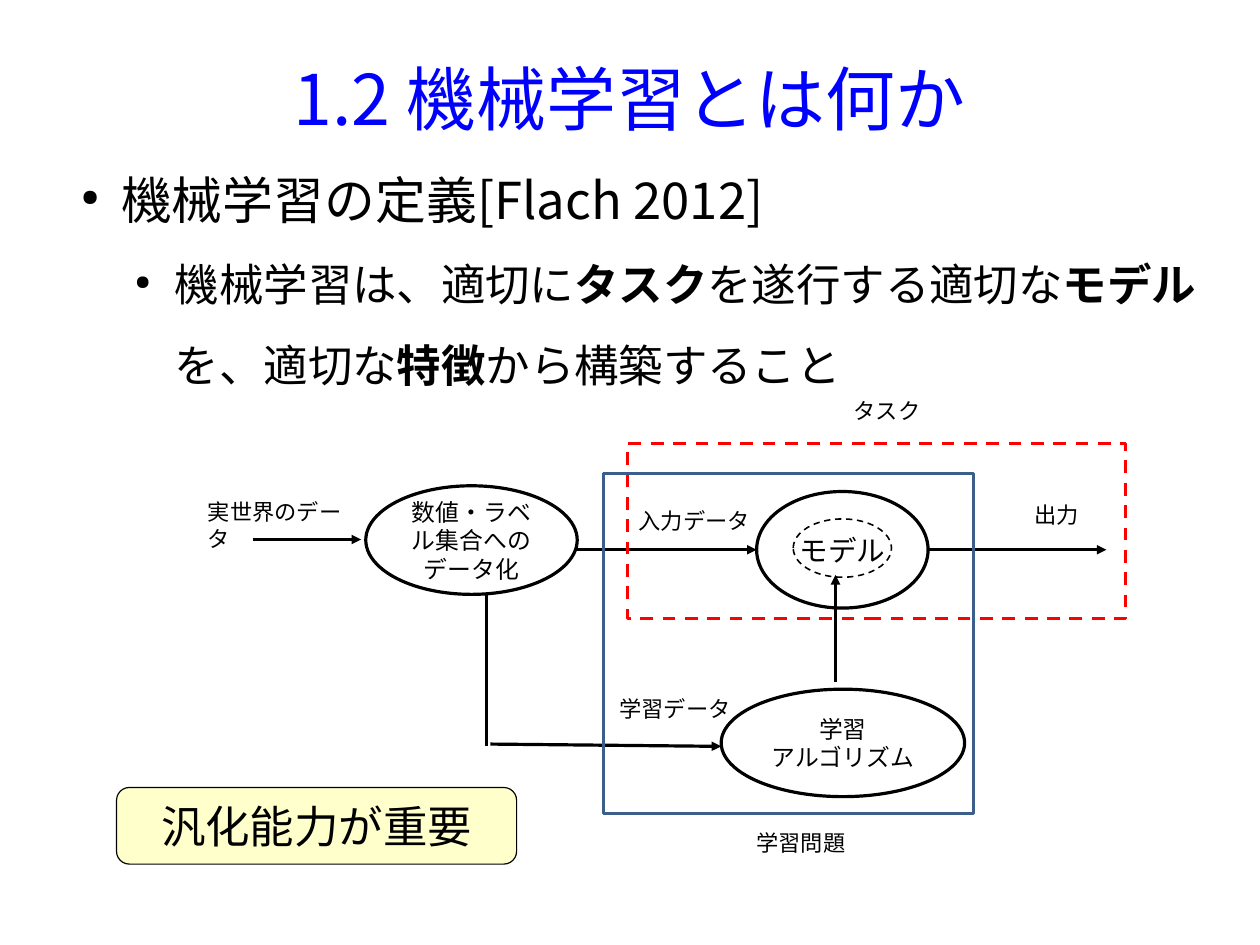
from lxml import etree
from pptx import Presentation
from pptx.dml.color import RGBColor
from pptx.enum import dml, shapes, text
from pptx.oxml import ns
from pptx.util import Inches, Pt

FONT = "Noto Sans CJK JP"
BLACK = RGBColor(0, 0, 0)
BLUE = RGBColor(0, 0, 255)
RED = RGBColor(255, 0, 0)
STEEL = RGBColor(0x3A, 0x5F, 0x8B)
CREAM = RGBColor(0xFF, 0xFF, 0xCC)

TITLE = "1.2 機械学習とは何か"
DEFINITION = [
    ("機械学習の定義[Flach 2012]", 32),
    ("機械学習は、適切に*タスク*を遂行する適切な*モデル*を、適切な*特徴*から構築すること", 28),
]
KEY_POINT = "汎化能力が重要"
STEPS = [
    (["数値・ラベル集合へのデータ化"], 15, (3.2, 4.25, 1.85, 0.95)),
    (["モデル"], 18, (6.62, 4.3, 1.5, 1.02)),
    (["学習", "アルゴリズム"], 15, (6.31, 6.03, 2.13, 0.94)),
]
MODEL_CORE = (6.94, 4.54, 0.86, 0.51)
SCOPES = [
    ((5.49, 3.88, 4.36, 1.53), RED, dml.MSO_LINE.DASH),
    ((5.28, 4.14, 3.24, 2.98), STEEL, None),
]
LABELS = [
    ("実世界のデータ", (1.72, 4.31, 1.5, 0.55), True),
    ("入力データ", (5.49, 4.39, 1.2, 0.33), False),
    ("出力", (8.95, 4.34, 0.6, 0.33), False),
    ("学習データ", (5.32, 6.03, 1.2, 0.33), False),
    ("タスク", (7.37, 3.43, 0.8, 0.33), False),
    ("学習問題", (6.52, 7.21, 1, 0.33), False),
]
FLOWS = [
    ((2.21, 4.72), (3.16, 4.72), True),
    ((5.05, 4.81), (6.62, 4.81), True),
    ((8.12, 4.81), (9.68, 4.81), True),
    ((4.26, 5.21), (4.26, 6.53), False),
    ((4.29, 6.51), (6.31, 6.53), True),
    ((7.31, 5.97), (7.31, 5.03), True),
]


def inches(values):
    """Convert plain numbers to lengths."""
    return [Inches(value) for value in values]


def add_xml(parent, tag, **attributes):
    """Append a drawing element to its parent."""
    return etree.SubElement(parent, ns.qn(tag), attributes)


def write(paragraph, content, size, color=BLACK, align=None):
    """Write text into a paragraph, with bold between asterisks."""
    paragraph.alignment = align
    for index, part in enumerate(content.split("*")):
        run = paragraph.add_run()
        run.text = part
        run.font.size = Pt(size)
        run.font.bold = index % 2 == 1
        run.font.color.rgb = color
        run.font.name = FONT
        add_xml(run.font._element, "a:ea", typeface=FONT)


def add_outline(slide, kind, box, color=BLACK, width=2, dash=None, fill=None):
    """Add an outlined shape."""
    outline = slide.shapes.add_shape(kind, *inches(box))
    outline.shadow.inherit = False
    if fill is None:
        outline.fill.background()
    else:
        outline.fill.solid()
        outline.fill.fore_color.rgb = fill
    outline.line.color.rgb = color
    outline.line.width = Pt(width)
    if dash is not None:
        outline.line.dash_style = dash
    return outline


def add_flow(slide, start, end, arrow):
    """Add a straight line, with an arrowhead if wanted."""
    flow = slide.shapes.add_connector(shapes.MSO_CONNECTOR.STRAIGHT, *inches(start + end))
    flow.line.color.rgb = BLACK
    flow.line.width = Pt(2)
    if arrow:
        add_xml(flow.line._get_or_add_ln(), "a:tailEnd", type="triangle")
    add_xml(flow._element.spPr, "a:effectLst")


def clear_margins(frame):
    """Remove the insets of a text frame and let it wrap."""
    frame.margin_left = frame.margin_right = frame.margin_top = frame.margin_bottom = 0
    frame.word_wrap = True


def add_definition(slide):
    """Add the bulleted definition."""
    frame = slide.shapes.add_textbox(*inches((0.59, 1.3, 9.92, 2.3))).text_frame
    clear_margins(frame)
    for level, (content, size) in enumerate(DEFINITION):
        paragraph = frame.add_paragraph() if level else frame.paragraphs[0]
        paragraph.level = level
        paragraph.line_spacing = Pt(51)
        properties = paragraph._p.get_or_add_pPr()
        properties.set("marL", str(Inches(0.47 * (level + 1))))
        properties.set("indent", str(Inches(-0.35)))
        bullet_color = add_xml(properties, "a:buClr")
        add_xml(bullet_color, "a:srgbClr", val=str(BLACK))
        add_xml(properties, "a:buSzPct", val="45000")
        add_xml(properties, "a:buChar", char="●")
        write(paragraph, content, size)


def main():
    """Build the slide on the definition of machine learning."""
    deck = Presentation()
    deck.slide_width = Inches(28 / 2.54)
    deck.slide_height = Inches(21 / 2.54)
    slide = deck.slides.add_slide(deck.slide_layouts[5])
    center = text.PP_ALIGN.CENTER
    middle = text.MSO_ANCHOR.MIDDLE

    title = slide.shapes.title
    title.left, title.top, title.width, title.height = inches((0.55, 0.33, 9.92, 1.05))
    clear_margins(title.text_frame)
    title.text_frame.vertical_anchor = middle
    write(title.text_frame.paragraphs[0], TITLE, 44, BLUE, center)
    add_definition(slide)

    key_point = add_outline(slide, shapes.MSO_SHAPE.ROUNDED_RECTANGLE,
                            (1.02, 6.89, 3.5, 0.67), width=0, fill=CREAM)
    key_point.text_frame.vertical_anchor = middle
    write(key_point.text_frame.paragraphs[0], KEY_POINT, 28, align=center)

    for lines, size, box in STEPS:
        frame = add_outline(slide, shapes.MSO_SHAPE.OVAL, box).text_frame
        frame.vertical_anchor = middle
        for index, content in enumerate(lines):
            paragraph = frame.add_paragraph() if index else frame.paragraphs[0]
            write(paragraph, content, size, align=center)
    add_outline(slide, shapes.MSO_SHAPE.OVAL, MODEL_CORE, width=1, dash=dml.MSO_LINE.DASH)

    for start, end, arrow in FLOWS:
        add_flow(slide, start, end, arrow)
    for box, color, dash in SCOPES:
        add_outline(slide, shapes.MSO_SHAPE.RECTANGLE, box, color, dash=dash)
    for content, box, wrap in LABELS:
        frame = slide.shapes.add_textbox(*inches(box)).text_frame
        frame.word_wrap = wrap
        frame.auto_size = text.MSO_AUTO_SIZE.SHAPE_TO_FIT_TEXT
        write(frame.paragraphs[0], content, 14)

    deck.save("out.pptx")


if __name__ == "__main__":
    main()
